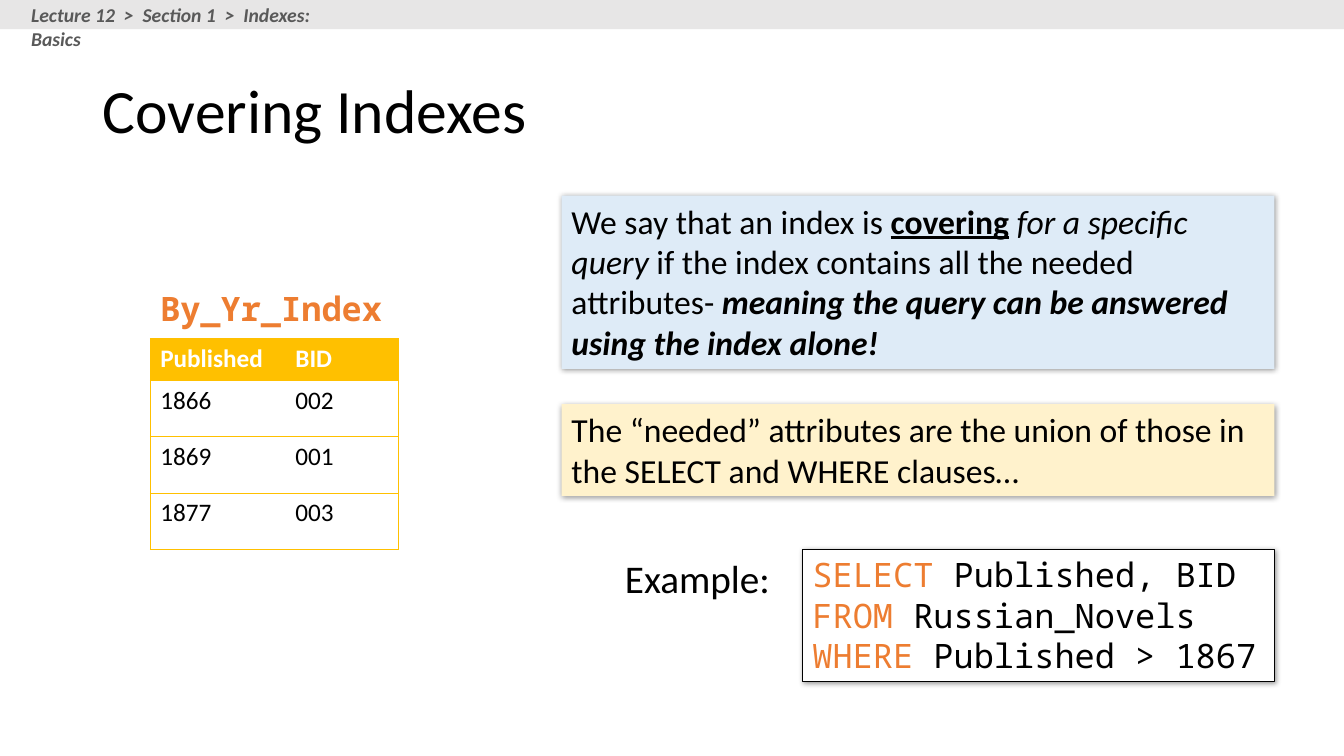
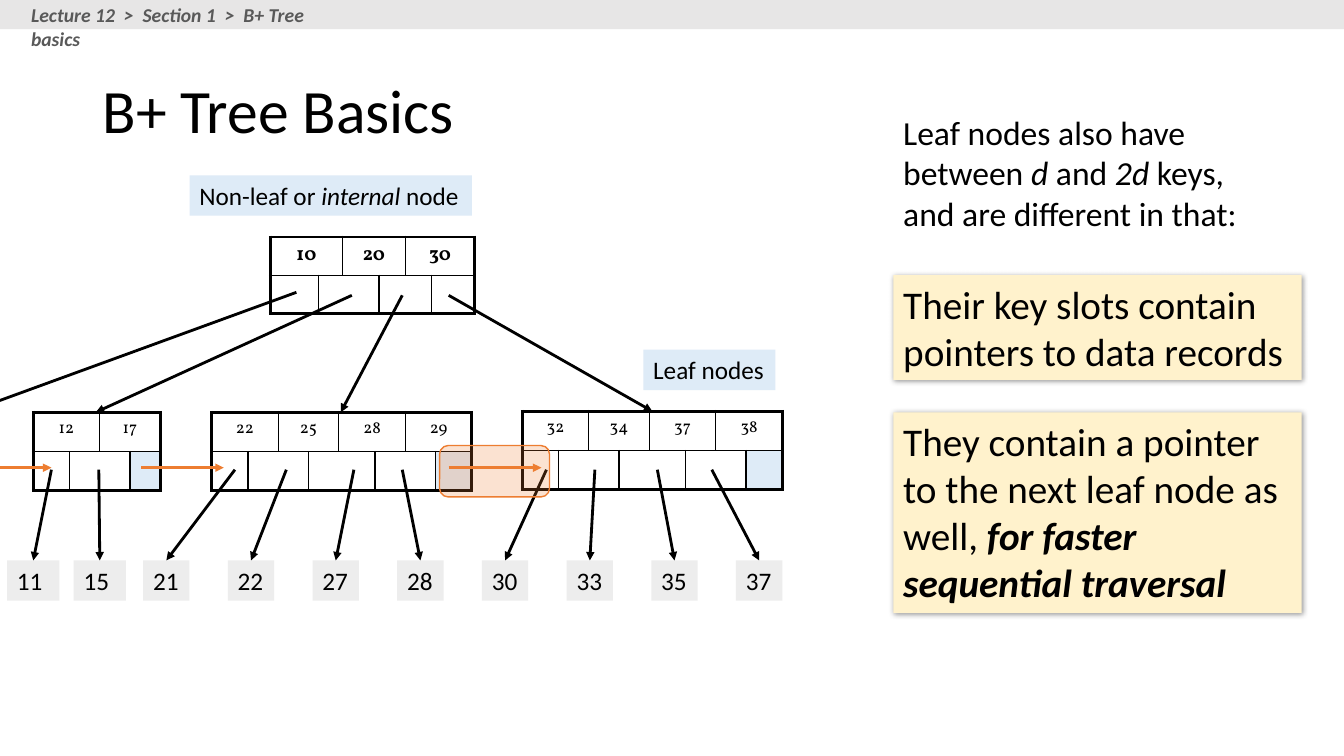
from lxml.etree import SubElement
from pptx import Presentation
from pptx.dml.color import RGBColor
from pptx.enum.shapes import MSO_CONNECTOR, MSO_SHAPE
from pptx.enum.text import MSO_ANCHOR, PP_ALIGN
from pptx.oxml.ns import qn
from pptx.util import Inches, Pt

BLACK, WHITE, GRAY = "000000", "FFFFFF", "595959"
BAND, RECORD = "E7E6E6", "EDEDED"
BLUE, CREAM = "DEEBF7", "FFF2CC"
ORANGE, GOLD = "ED7D31", "FFC000"
SANS, MONO, SERIF = "Calibri", "Noto Sans Mono", "Vollkorn"
PLAIN_TABLE = "{2D5ABB26-0587-4C30-8999-92F81FD0307C}"
SLIDE_WIDTH, SLIDE_HEIGHT = 13.33, 7.5


def rgb(color):
    return RGBColor.from_string(color)


def paint(target, color):
    target.fill.solid()
    target.fill.fore_color.rgb = rgb(color)


def add_shadow(shape):
    effects = SubElement(shape._element.spPr, qn("a:effectLst"))
    shadow = SubElement(effects, qn("a:outerShdw"), blurRad=str(Pt(4)),
                        dist=str(Pt(1)), dir="2700000", algn="tl", rotWithShape="0")
    color = SubElement(shadow, qn("a:srgbClr"), val=BLACK)
    SubElement(color, qn("a:alpha"), val="40000")


def add_runs(paragraph, runs, size, font, color, style=""):
    """Add (text, style, color) runs; style holds any of the letters b, i, u."""
    for text, *look in runs:
        marks = look[0] if look else style
        run = paragraph.add_run()
        run.text = text
        run.font.size = Pt(size)
        run.font.name = font
        run.font.bold = "b" in marks
        run.font.italic = "i" in marks
        run.font.underline = "u" in marks
        run.font.color.rgb = rgb(look[1] if len(look) > 1 else color)


def set_borders(cell, color, **widths):
    """Draw cell sides L, R, T, B with the given point widths."""
    properties = cell._tc.get_or_add_tcPr()
    sides = [side for side in "LRTB" if side in widths]
    for position, side in enumerate(sides):
        edge = SubElement(properties, qn(f"a:ln{side}"), w=str(Pt(widths[side])))
        fill = SubElement(edge, qn("a:solidFill"))
        SubElement(fill, qn("a:srgbClr"), val=color)
        properties.insert(position, edge)


class Deck:
    def __init__(self):
        self.presentation = Presentation()
        self.presentation.slide_width = Inches(SLIDE_WIDTH)
        self.presentation.slide_height = Inches(SLIDE_HEIGHT)
        self.shapes = None

    def new_slide(self, title, topic):
        layout = self.presentation.slide_layouts[6]
        self.shapes = self.presentation.slides.add_slide(layout).shapes
        self.panel(0, 0, SLIDE_WIDTH, 0.29, BAND)
        trail = "  >  ".join(["Lecture 12", "Section 1", topic])
        self.text(0.21, -0.02, 3.3, 0.34, [[(trail, "bi")]], size=14, color=GRAY)
        heading = self.text(0.92, 0.4, 11.5, 1.45, [[(title,)]], size=44)
        heading.text_frame.vertical_anchor = MSO_ANCHOR.MIDDLE
        heading.text_frame.paragraphs[0].line_spacing = 0.9

    def panel(self, left, top, width, height, fill, line=None, opacity=None,
              kind=MSO_SHAPE.RECTANGLE):
        shape = self.shapes.add_shape(kind, Inches(left), Inches(top),
                                      Inches(width), Inches(height))
        shape.shadow.inherit = False
        paint(shape, fill)
        if opacity:
            color = shape._element.spPr.find(qn("a:solidFill"))[0]
            SubElement(color, qn("a:alpha"), val=str(opacity * 1000))
        if line:
            shape.line.color.rgb = rgb(line)
            shape.line.width = Pt(1)
        else:
            shape.line.fill.background()

    def text(self, left, top, width, height, paragraphs, size=24, font=SANS,
             color=BLACK, fill=None, line=None, shadow=False, wrap=True):
        box = self.shapes.add_textbox(Inches(left), Inches(top),
                                      Inches(width), Inches(height))
        frame = box.text_frame
        frame.word_wrap = wrap
        for index, runs in enumerate(paragraphs):
            paragraph = frame.add_paragraph() if index else frame.paragraphs[0]
            add_runs(paragraph, runs, size, font, color)
        if fill:
            paint(box, fill)
        if line:
            box.line.color.rgb = rgb(line)
            box.line.width = Pt(0.75)
        if shadow:
            add_shadow(box)
        return box

    def arrow(self, start, end, color=BLACK, target=None):
        """Draw an arrow, joined to the top of target if there is one."""
        points = [Inches(value) for value in (*start, *end)]
        connector = self.shapes.add_connector(MSO_CONNECTOR.STRAIGHT, *points)
        connector.line.color.rgb = rgb(color)
        connector.line.width = Pt(2)
        SubElement(connector.line._get_or_add_ln(), qn("a:tailEnd"), type="triangle")
        SubElement(connector._element.spPr, qn("a:effectLst"))
        if target is not None:
            connector.end_connect(target, 0)

    def grid(self, left, top, widths, heights):
        frame = self.shapes.add_table(len(heights), len(widths), Inches(left), Inches(top),
                                      Inches(sum(widths)), Inches(sum(heights)))
        table = frame.table
        table.first_row = table.horz_banding = False
        table._tbl.tblPr.find(qn("a:tableStyleId")).text = PLAIN_TABLE
        for column, width in zip(table.columns, widths):
            column.width = Inches(width)
        for row, height in zip(table.rows, heights):
            row.height = Inches(height)
        return table

    def index_table(self, left, top, widths, heights, records):
        table = self.grid(left, top, widths, heights)
        for row, record in enumerate(records):
            for column, value in enumerate(record):
                cell = table.cell(row, column)
                header = row == 0
                paint(cell, GOLD if header else WHITE)
                add_runs(cell.text_frame.paragraphs[0], [(value,)], 18, SANS,
                         WHITE if header else BLACK, "b" if header else "")
                outer_side = "R" if column else "L"
                set_borders(cell, GOLD, T=0.5, B=0.5, **{outer_side: 0.5})

    def tree_node(self, left, top, widths, row_height, keys, size=12, style="",
                  next_pointer=True):
        """Draw a row of keys over a row of pointers, staggered by one column."""
        table = self.grid(left, top, widths, [row_height] * 2)
        last = len(widths) - 1
        key_spans = [(first, first + 1) for first in range(0, last, 2)]
        pointer_spans = [(0, 0)]
        pointer_spans += [(first, first + 1) for first in range(1, last, 2)]
        pointer_spans += [(last, last)]
        for row, spans in enumerate([key_spans, pointer_spans]):
            for index, (first, end) in enumerate(spans):
                cell = table.cell(row, first)
                if end > first:
                    cell.merge(table.cell(row, end))
                shaded = row == 1 and first == last and next_pointer
                paint(cell, BLUE if shaded else WHITE)
                set_borders(cell, BLACK, L=1 if first else 2.25,
                            R=1 if end < last else 2.25,
                            T=1 if row else 2.25, B=2.25 if row else 1)
                if row == 0:
                    paragraph = cell.text_frame.paragraphs[0]
                    paragraph.alignment = PP_ALIGN.CENTER
                    add_runs(paragraph, [(keys[index],)], size, SERIF, BLACK, style)
                else:
                    cell.margin_top = cell.margin_bottom = 0


def covering_indexes(deck):
    deck.new_slide("Covering Indexes", "Indexes: Basics")
    deck.text(1.49, 2.81, 2.44, 0.5, [[("By_Yr_Index", "b")]], font=MONO,
              color=ORANGE, wrap=False)
    deck.index_table(1.49, 3.36, [1.34, 1.12], [0.41] + [0.56] * 3, [
        ("Published", "BID"), ("1866", "002"), ("1869", "001"), ("1877", "003")])
    deck.text(5.57, 1.94, 7.07, 1.72, [[
        ("We say that an index is ",), ("covering", "bu"), (" ",),
        ("for a specific query", "i"),
        (" if the index contains all the needed attributes- ",),
        ("meaning the query can be answered using the index alone!", "bi"),
    ]], fill=BLUE, shadow=True)
    deck.text(5.57, 4.01, 7.07, 0.91, [[
        ("The “needed” attributes are the union of those in the SELECT and "
         "WHERE clauses…",)]], fill=CREAM, shadow=True)
    deck.text(6.1, 5.45, 1.65, 0.57, [[("Example:",)]], size=28, wrap=False)
    query = [("SELECT ", "Published, BID"), ("FROM ", "Russian_Novels"),
             ("WHERE ", "Published > 1867")]
    deck.text(7.96, 5.45, 4.68, 1.31,
              [[(keyword, "", ORANGE), (rest,)] for keyword, rest in query],
              font=MONO, fill=WHITE, line=BLACK, shadow=True, wrap=False)


def tree_basics(deck):
    deck.new_slide("B+ Tree Basics", "B+ Tree basics")
    deck.text(1.88, 1.74, 2.8, 0.4,
              [[("Non-leaf or ",), ("internal ", "i"), ("node",)]],
              size=18, fill=BLUE, wrap=False)
    deck.text(6.38, 3.47, 1.31, 0.4, [[("Leaf nodes",)]], size=18, fill=BLUE, wrap=False)

    deck.tree_node(2.68, 2.35, [0.48, 0.21, 0.36, 0.26, 0.26, 0.43], 0.38,
                   ["10", "20", "30"], size=14, style="b", next_pointer=False)
    half_leaf = [0.36, 0.3, 0.3, 0.3]
    full_leaf = half_leaf + half_leaf[::-1]
    full_leaf = [0.36, 0.3, 0.3, 0.3, 0.36, 0.3, 0.3, 0.36]
    for left, top, widths, keys in [
            (0.33, 4.09, half_leaf, ["12", "17"]),
            (2.1, 4.09, full_leaf, ["22", "25", "28", "29"]),
            (5.18, 4.08, full_leaf, ["32", "34", "37", "38"])]:
        deck.tree_node(left, top, widths, 0.39, keys)

    for start, end in [((2.94, 2.9), (-0.13, 4.02)), ((3.49, 2.93), (0.95, 4.09)),
                       ((3.99, 2.93), (3.38, 4.09)), ((4.45, 2.93), (6.47, 4.08))]:
        deck.arrow(start, end)

    first_records = [("11", 0.51, 0.07, 0.52), ("15", 0.98, 0.73, 0.52)]
    pointers = [("21", 2.33), ("22", 2.84), ("27", 3.51), ("28", 3.99),
                ("30", 5.42), ("33", 5.9), ("35", 6.52), ("37", 7.06)]
    even_records = [(value, pointer, 1.42 + 0.84 * index, 0.46)
                    for index, (value, pointer) in enumerate(pointers)]
    for value, pointer, left, width in first_records + even_records:
        record = deck.text(left, 5.56, width, 0.4, [[(value,)]], size=18, fill=RECORD)
        deck.arrow((pointer, 4.66), (left + width / 2, 5.56), target=record)

    deck.panel(4.36, 4.42, 1.09, 0.51, ORANGE, line=ORANGE, opacity=22,
               kind=MSO_SHAPE.ROUNDED_RECTANGLE)
    for start, end in [(0, 0.51), (1.4, 2.22), (4.45, 5.37)]:
        deck.arrow((start, 4.64), (end, 4.64), ORANGE)

    deck.text(8.86, 1.06, 3.9, 1.31, [[
        ("Leaf nodes also have between ",), ("d ", "i"), ("and ",), ("2d ", "i"),
        ("keys, and are different in that:",)]])
    deck.text(8.86, 2.73, 4.05, 1.04,
              [[("Their key slots contain pointers to data records",)]],
              size=28, fill=CREAM, shadow=True)
    deck.text(8.86, 4.09, 4.05, 1.99, [[
        ("They contain a pointer to the next leaf node as well, ",),
        ("for faster sequential traversal", "bi")]],
        size=28, fill=CREAM, shadow=True)


def main():
    deck = Deck()
    covering_indexes(deck)
    tree_basics(deck)
    deck.presentation.save("out.pptx")


if __name__ == "__main__":
    main()
